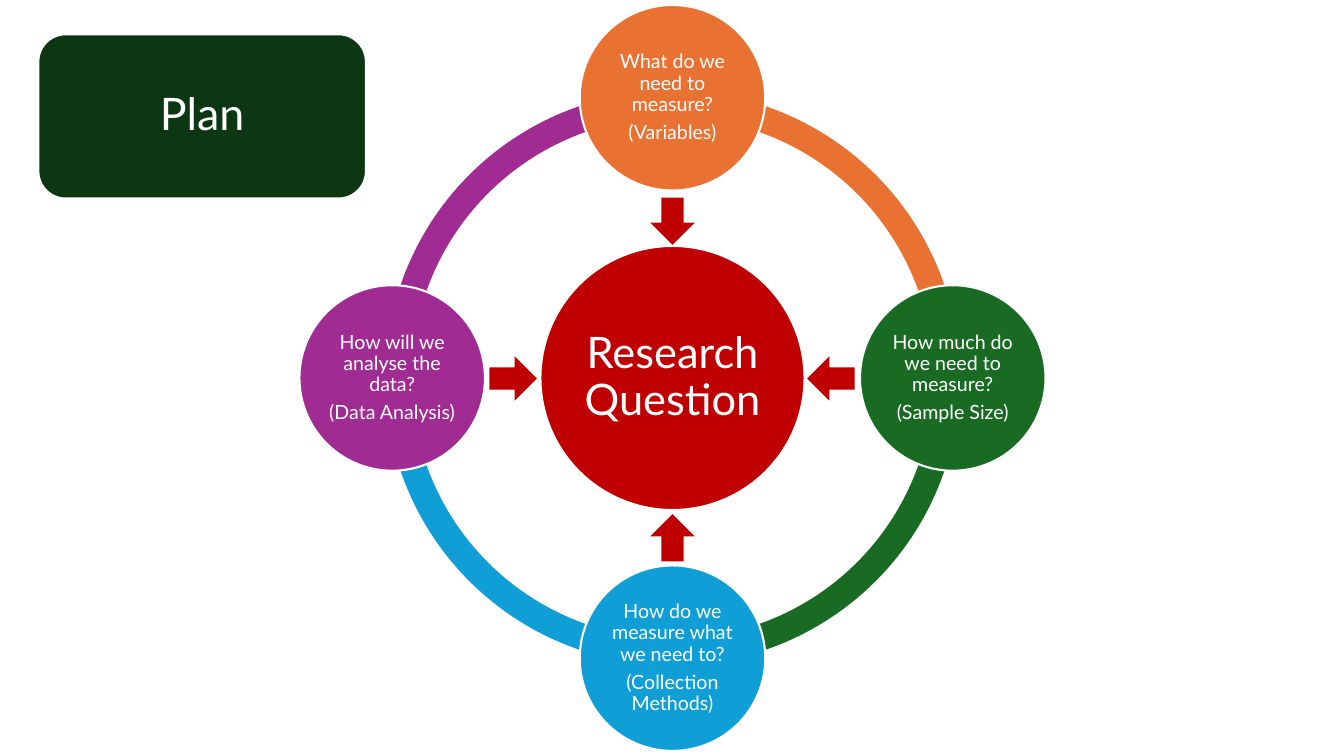
"""Build the Plan slide: four questions in a ring around a research question."""
import math

from pptx import Presentation, util as u
from pptx.dml.color import RGBColor
from pptx.enum import shapes, text

KIND = shapes.MSO_SHAPE
PX = 9144
HUES = {
    "white": "FFFFFF", "dark": "0D3612", "red": "C00000", "orange": "E97132",
    "green": "196B24", "blue": "0F9ED5", "purple": "A02B93",
}
MID = (667, 375)
NODES = [
    (180, "purple", 158, ["How will we analyse the data?", "(Data Analysis)"]),
    (90, "blue", 159, ["How do we measure what we need to?", "(Collection Methods)"]),
    (0, "green", 157, ["How much do we need to measure?", "(Sample Size)"]),
    (270, "orange", 156, ["What do we need to measure?", "(Variables)"]),
]


class Board:
    """Holds the slide and its style, and draws each kind of element."""

    def __init__(self, deck, font):
        self.slide = deck.slides.add_slide(deck.slide_layouts[6])
        self.font = font

    def color(self, name):
        return RGBColor.from_string(HUES[name])

    def shape(self, kind, mid, size, hue, edge=False):
        (x, y), (w, h) = mid, size
        box = [round(n) * PX for n in (x - w / 2, y - h / 2, w, h)]
        item = self.slide.shapes.add_shape(kind, *box)
        item.shadow.inherit = False
        item.fill.solid()
        item.fill.fore_color.rgb = self.color(hue)
        if edge:
            item.line.color.rgb = self.color("white")
            item.line.width = u.Pt(1.5)
        else:
            item.line.fill.background()
        return item

    def label(self, kind, mid, size, hue, lines, points, inset):
        frame = self.shape(kind, mid, size, hue, edge=True).text_frame
        frame.word_wrap = True
        frame.vertical_anchor = text.MSO_ANCHOR.MIDDLE
        frame.margin_left = frame.margin_right = inset * PX
        frame.margin_top = frame.margin_bottom = inset * PX
        for i, line in enumerate(lines):
            para = frame.add_paragraph() if i else frame.paragraphs[0]
            para.alignment = text.PP_ALIGN.CENTER
            para.line_spacing = 0.9
            para.space_after = u.Pt(round(points * 0.35))
            run = para.add_run()
            run.text = line
            run.font.name = self.font
            run.font.size = u.Pt(points)
            run.font.color.rgb = self.color("white")

    def arc(self, start, hue):
        item = self.shape(KIND.BLOCK_ARC, MID, (570, 570), hue)
        for i, value in enumerate((start * 0.6, (start + 90) % 360 * 0.6, 0.046)):
            item.adjustments[i] = value

    def arrow(self, angle, reach):
        item = self.shape(KIND.DOWN_ARROW, polar(angle, reach), (44, 47), "red")
        item.rotation = (angle + 90) % 360


def polar(angle, reach):
    """Return the point at a clockwise angle and distance from the middle."""
    turn = math.radians(angle)
    return MID[0] + reach * math.cos(turn), MID[1] + reach * math.sin(turn)


def main():
    """Draw the slide and save it."""
    deck = Presentation()
    deck.slide_width, deck.slide_height = 1333 * PX, 750 * PX
    board = Board(deck, "Lato")
    board.label(KIND.ROUNDED_RECTANGLE, (200, 115), (325, 163), "dark", ["Plan"], 32, 7)
    for angle, hue, _, _ in NODES:
        board.arc(angle, hue)
    board.label(KIND.OVAL, MID, (262, 262), "red", ["Research Question"], 31, 4)
    for angle, hue, _, lines in NODES:
        board.label(KIND.OVAL, polar(angle, 278), (184, 184), hue, lines, 14, 2)
    for angle, _, reach, _ in NODES:
        board.arrow(angle, reach)
    deck.save("out.pptx")


if __name__ == "__main__":
    main()
